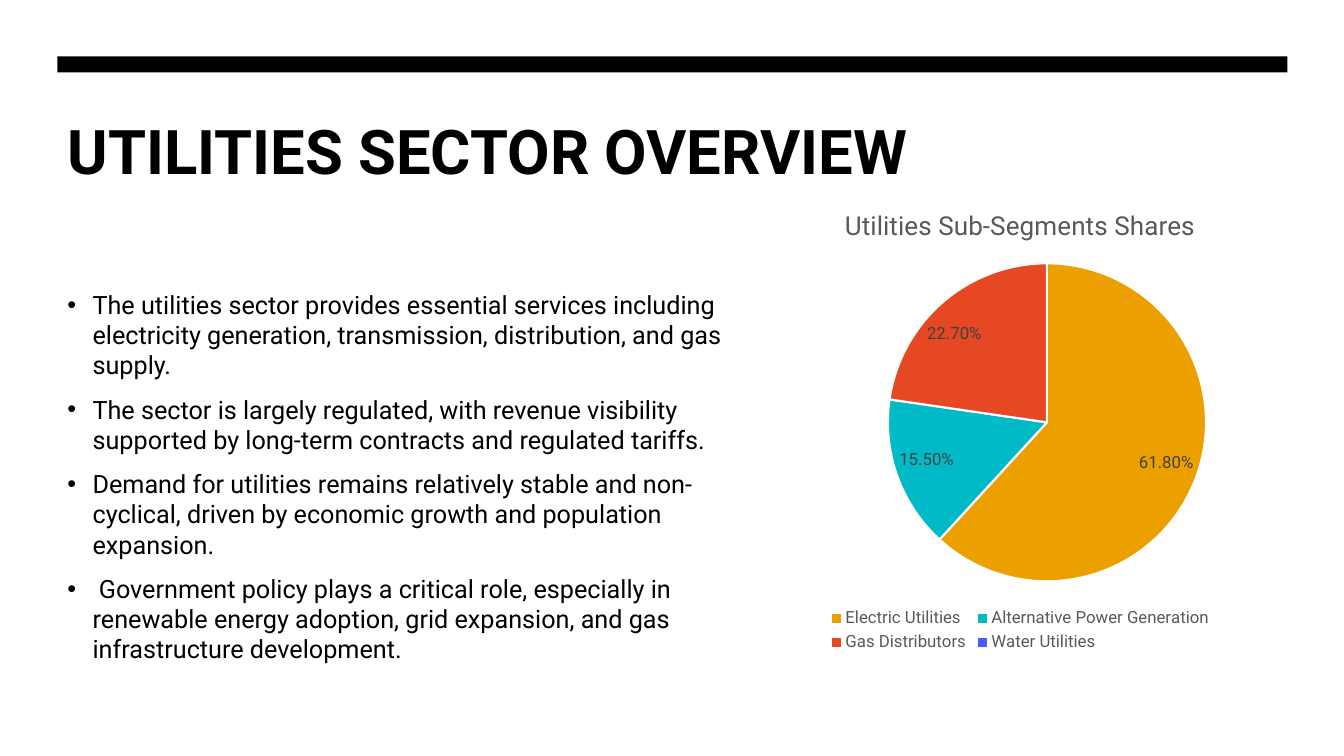
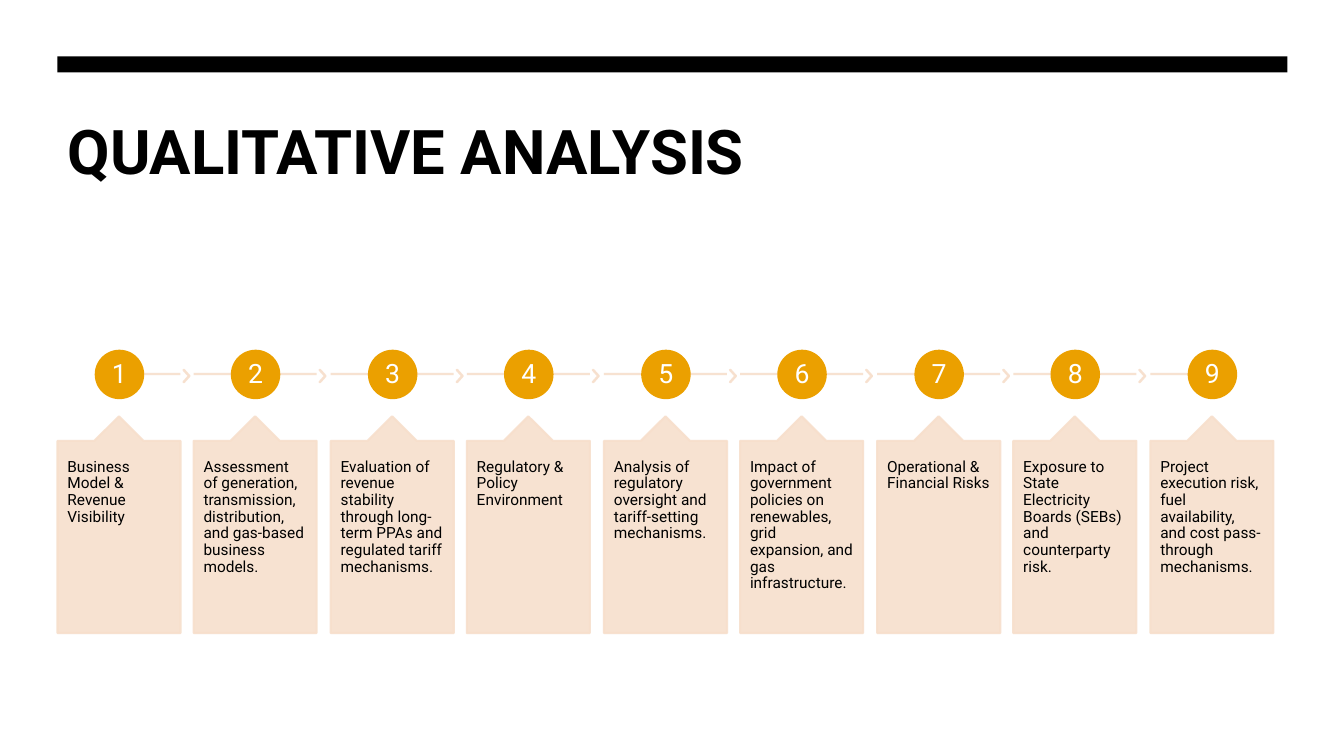
from lxml.etree import SubElement
from pptx import Presentation
from pptx.chart.data import CategoryChartData
from pptx.dml.color import RGBColor
from pptx.enum.chart import XL_CHART_TYPE, XL_LABEL_POSITION, XL_LEGEND_POSITION
from pptx.enum.shapes import MSO_CONNECTOR, MSO_SHAPE
from pptx.enum.text import MSO_ANCHOR, PP_ALIGN
from pptx.oxml import parse_xml
from pptx.oxml.ns import nsdecls, qn
from pptx.util import Emu, Pt

PX = 9144  # EMU in one px: 100 px to the inch
FONT = "Roboto"
COLORS = {
    "black": "000000", "white": "FFFFFF", "gold": "EBA000", "teal": "00BAC8",
    "red": "E64823", "blue": "4D5AFF", "peach": "F7DFCC",
    "grey": "595959", "label": "404040",
}
MARGIN = 57
STEP_WIDTH = 122
TITLE_BOX = (MARGIN, 107, 1220, 160)
BAND_BOX = (MARGIN, 56, 1220, 16)

OVERVIEW = [
    "The utilities sector provides essential services including electricity generation, "
    "transmission, distribution, and gas supply.",
    "The sector is largely regulated, with revenue visibility supported by long-term "
    "contracts and regulated tariffs.",
    "Demand for utilities remains relatively stable and non-cyclical, driven by economic "
    "growth and population expansion.",
    " Government policy plays a critical role, especially in renewable energy adoption, "
    "grid expansion, and gas infrastructure development.",
]
SHARES = [
    ("Electric Utilities", 0.618, "gold"),
    ("Alternative Power Generation", 0.155, "teal"),
    ("Gas Distributors", 0.227, "red"),
    ("Water Utilities", 0, "blue"),
]
STEPS = [
    "Business Model & Revenue Visibility",
    "Assessment of generation, transmission, distribution, and gas-based business models.",
    "Evaluation of revenue stability through long-term PPAs and regulated tariff mechanisms.",
    "Regulatory & Policy Environment",
    "Analysis of regulatory oversight and tariff-setting mechanisms.",
    "Impact of government policies on renewables, grid expansion, and gas infrastructure.",
    "Operational & Financial Risks",
    "Exposure to State Electricity Boards (SEBs) and counterparty risk.",
    "Project execution risk, fuel availability, and cost pass-through mechanisms.",
]


def px(*lengths):
    return [Emu(length * PX) for length in lengths]


def color(name):
    return RGBColor.from_string(COLORS[name])


def set_attributes(target, **values):
    for name, value in values.items():
        setattr(target, name, value)


def set_font(font, size, color_name, bold=False):
    set_attributes(font, name=FONT, size=Pt(size), bold=bold)
    font.color.rgb = color(color_name)


def set_margins(frame, horizontal, vertical):
    side, top = px(horizontal, vertical)
    set_attributes(frame, margin_left=side, margin_right=side,
                   margin_top=top, margin_bottom=top)


def make_translucent(shape):
    """Give every colour of the shape 90 % opacity."""
    for element in list(shape.element.spPr.iter(qn("a:srgbClr"))):
        SubElement(element, qn("a:alpha")).set("val", "90000")


def add_preset(slide, preset, box, fill, outlined=True, adjustments=()):
    shape = slide.shapes.add_shape(preset, *px(*box))
    shape.shadow.inherit = False
    shape.fill.solid()
    shape.fill.fore_color.rgb = color(fill)
    if outlined:
        shape.line.color.rgb = color(fill)
        shape.line.width = Pt(1.5)
    else:
        shape.line.fill.background()
    for index, value in enumerate(adjustments):
        shape.adjustments[index] = value
    return shape


def write_in_shape(shape, text, size, color_name, margins, anchor, alignment):
    frame = shape.text_frame
    set_attributes(frame, word_wrap=True, vertical_anchor=anchor)
    set_margins(frame, *margins)
    paragraph = frame.paragraphs[0]
    paragraph.text = text
    set_attributes(paragraph, alignment=alignment, line_spacing=0.9)
    set_font(paragraph.font, size, color_name)


def add_titled_slide(presentation, title):
    """Add a title-only slide with the black band and the shared title style."""
    slide = presentation.slides.add_slide(presentation.slide_layouts[5])
    add_preset(slide, MSO_SHAPE.RECTANGLE, BAND_BOX, "black", outlined=False)
    placeholder = slide.shapes.title
    left, top, width, height = px(*TITLE_BOX)
    set_attributes(placeholder, left=left, top=top, width=width, height=height)
    frame = placeholder.text_frame
    set_attributes(frame, text=title, word_wrap=True, vertical_anchor=MSO_ANCHOR.TOP)
    paragraph = frame.paragraphs[0]
    paragraph.alignment = PP_ALIGN.LEFT
    set_font(paragraph.font, 44, "black", bold=True)
    return slide


def add_bullets(slide, box, items):
    frame = slide.shapes.add_textbox(*px(*box)).text_frame
    frame.word_wrap = True
    for index, item in enumerate(items):
        paragraph = frame.add_paragraph() if index else frame.paragraphs[0]
        paragraph.text = item
        properties = paragraph._p.get_or_add_pPr()
        indent = px(25)[0]
        properties.set("marL", str(indent))
        properties.set("indent", str(-indent))
        SubElement(properties, qn("a:buFont")).set("typeface", "Arial")
        SubElement(properties, qn("a:buChar")).set("char", "•")
        paragraph.space_before = Pt(10 if index else 0)
        set_font(paragraph.font, 18, "black")


def set_plot_area(chart, **fractions):
    """Place the inner plot area by fractions of the chart's size."""
    plot_area = chart._chartSpace.chart.plotArea
    for layout in plot_area.findall(qn("c:layout")):
        plot_area.remove(layout)
    modes = {"layoutTarget": "inner", "xMode": "edge", "yMode": "edge"}
    entries = "".join(f'<c:{tag} val="{value}"/>' for tag, value in {**modes, **fractions}.items())
    plot_area.insert(0, parse_xml(
        f'<c:layout {nsdecls("c")}><c:manualLayout>{entries}</c:manualLayout></c:layout>'))


def add_share_pie(slide, box, title, shares):
    data = CategoryChartData(number_format="0.00%")
    data.categories = [name for name, _, _ in shares]
    data.add_series("Series 1", [value for _, value, _ in shares])
    chart = slide.shapes.add_chart(XL_CHART_TYPE.PIE, *px(*box), data).chart
    set_font(chart.font, 10, "black")

    chart.has_title = True
    chart.chart_title.include_in_layout = False
    paragraph = chart.chart_title.text_frame.paragraphs[0]
    paragraph.text = title
    set_font(paragraph.runs[0].font, 18.6, "grey")

    chart.has_legend = True
    set_attributes(chart.legend, position=XL_LEGEND_POSITION.BOTTOM, include_in_layout=False)
    set_font(chart.legend.font, 12, "grey")

    plot = chart.plots[0]
    plot.vary_by_categories = True
    labels = plot.series[0].data_labels
    set_attributes(labels, show_value=True, show_percentage=False, number_format="0.00%",
                   number_format_is_linked=False, position=XL_LABEL_POSITION.BEST_FIT)
    set_font(labels.font, 12, "label")
    for index, (_, value, fill) in enumerate(shares):
        slice_format = plot.series[0].points[index].format
        slice_format.fill.solid()
        slice_format.fill.fore_color.rgb = color(fill)
        slice_format.line.color.rgb = color("white")
        slice_format.line.width = Pt(1.5)
        if not value:
            labels._element.insert(0, parse_xml(
                f'<c:dLbl {nsdecls("c")}><c:idx val="{index}"/><c:delete val="1"/></c:dLbl>'))
    set_plot_area(chart, x=0.25, y=0.16, w=0.6, h=0.68)


def add_track(slide, start, end, y):
    begin_x, end_x, line_y = px(start, end, y)
    track = slide.shapes.add_connector(MSO_CONNECTOR.STRAIGHT, begin_x, line_y, end_x, line_y)
    track.line.color.rgb = color("peach")
    track.line.width = Pt(1.5)
    make_translucent(track)
    SubElement(track.element.spPr, qn("a:effectLst"))


def add_step(slide, index, text, last):
    """Add one step: its track, chevron, numbered circle and callout."""
    left = MARGIN + index * 271 // 2
    middle = left + STEP_WIDTH // 2
    add_track(slide, left if index else middle, middle if last else left + STEP_WIDTH, 371)
    if not last:
        chevron = add_preset(slide, MSO_SHAPE.CHEVRON, (left + 125, 367, 6, 12), "peach",
                             adjustments=[0.9])
        make_translucent(chevron)
    circle = add_preset(slide, MSO_SHAPE.OVAL, (middle - 23, 348, 47, 47), "gold")
    write_in_shape(circle, str(index + 1), 19, "white", (2, 2),
                   MSO_ANCHOR.MIDDLE, PP_ALIGN.CENTER)
    callout = add_preset(slide, MSO_SHAPE.UP_ARROW_CALLOUT, (left, 413, STEP_WIDTH, 215),
                         "peach", adjustments=[0.5, 0.2, 0.2, 1])
    make_translucent(callout)
    write_in_shape(callout, text, 11, "black", (10, 18), MSO_ANCHOR.TOP, PP_ALIGN.LEFT)


def main():
    presentation = Presentation()
    presentation.slide_width, presentation.slide_height = px(1333, 750)

    overview = add_titled_slide(presentation, "UTILITIES SECTOR OVERVIEW")
    add_bullets(overview, (MARGIN, 282, 681, 412), OVERVIEW)
    add_share_pie(overview, (748, 187, 528, 464), "Utilities Sub-Segments Shares", SHARES)

    analysis = add_titled_slide(presentation, "QUALITATIVE ANALYSIS")
    for index, text in enumerate(STEPS):
        add_step(analysis, index, text, last=index == len(STEPS) - 1)

    presentation.save("out.pptx")


if __name__ == "__main__":
    main()
